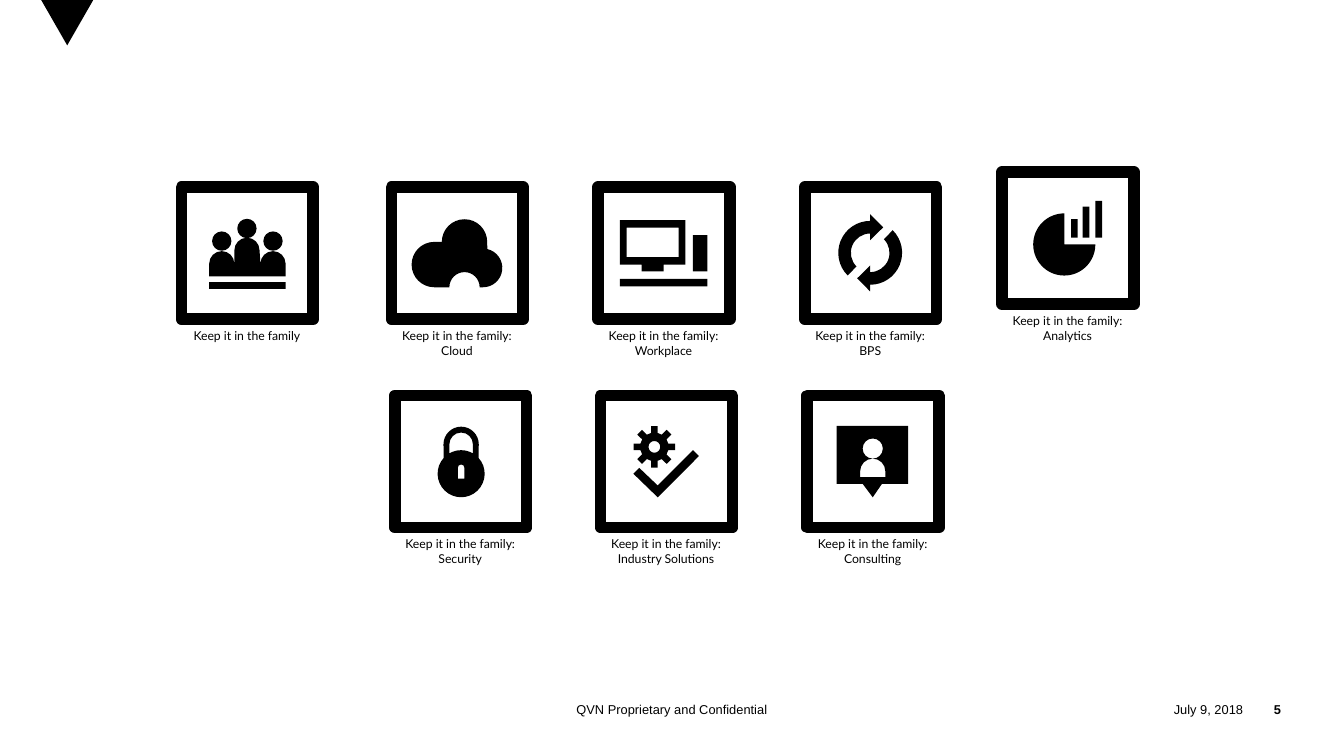
"""Build a slide of eight captioned service icons with a confidentiality footer."""
from dataclasses import dataclass
from math import asin, ceil, cos, degrees, radians, sin, tan
from typing import NamedTuple

from pptx import Presentation
from pptx import util as u
from pptx.dml import color
from pptx.enum import shapes, text
from pptx.oxml import ns, xmlchemy

BLACK, WHITE = "000000", "FFFFFF"
TILE_SIZE = 1.57
FAMILY = "Keep it in the family"


class Point(NamedTuple):
    x: float
    y: float
    curved: bool = False


Contour = list[Point]


@dataclass
class Tile:
    left: float
    top: float
    caption: str
    caption_height: float
    icon: list[Contour]


@dataclass
class Footer:
    left: float
    width: float
    wording: str
    align: text.PP_ALIGN
    bold: bool = False
    wrap: bool = False


def rgb(value: str) -> color.RGBColor:
    return color.RGBColor.from_string(value)


def polar(cx: float, cy: float, radius: float, angle: float, handle: float = 0,
          curved: bool = False) -> Point:
    a = radians(angle)
    return Point(cx + radius * (cos(a) - handle * sin(a)),
                 cy + radius * (sin(a) + handle * cos(a)), curved)


def arc(cx: float, cy: float, radius: float, start: float, end: float) -> Contour:
    pieces = ceil(abs(end - start) / 90)
    step = (end - start) / pieces
    handle = 4 / 3 * tan(radians(step) / 4)
    contour = [polar(cx, cy, radius, start)]
    for i in range(pieces):
        here, there = start + i * step, start + (i + 1) * step
        contour += [polar(cx, cy, radius, here, handle, True),
                    polar(cx, cy, radius, there, -handle, True),
                    polar(cx, cy, radius, there, 0, True)]
    return contour


def circle(cx: float, cy: float, radius: float) -> Contour:
    return arc(cx, cy, radius, 0, 360)


def arch(cx: float, cy: float, radius: float) -> Contour:
    return arc(cx, cy, radius, 180, 360)


def polygon(*corners: tuple[float, float]) -> Contour:
    return [Point(x, y) for x, y in corners]


def box(left: float, top: float, right: float, bottom: float) -> Contour:
    return polygon((left, top), (right, top), (right, bottom), (left, bottom))


def cycle_arrow(cx: float, cy: float, turn: float) -> Contour:
    tip = [polar(cx, cy, radius, angle + turn)
           for radius, angle in [(0.46, 270), (0.34, 297), (0.15, 270)]]
    return (arc(cx, cy, 0.38, 135 + turn, 270 + turn) + tip
            + arc(cx, cy, 0.23, 270 + turn, 135 + turn))


def gear(cx: float, cy: float) -> Contour:
    root, outer, half_tooth = 0.17, 0.25, 0.04
    base, crown = (degrees(asin(half_tooth / r)) for r in (root, outer))
    tooth = [(root, -base), (outer, -crown), (outer, crown), (root, base)]
    return [polar(cx, cy, r, 45 * i + angle) for i in range(8) for r, angle in tooth]


PEOPLE = [
    *(circle(x, y, 0.115) for x, y in [(2.64, 2.87), (2.94, 2.72), (3.25, 2.87)]),
    arch(2.64, 3.14, 0.15) + arch(2.94, 2.98, 0.15) + arch(3.25, 3.14, 0.15)
    + polygon((3.4, 3.29), (2.49, 3.29)),
    box(2.49, 3.36, 3.4, 3.44),
]
CLOUD = [arch(5.53, 3.42, 0.18) + arc(5.75, 3.19, 0.23, 90, -77)
         + arc(5.53, 2.88, 0.27, 0, -180) + arc(5.17, 3.15, 0.27, 270, 90)]
WORKPLACE = [
    polygon((7.38, 2.62), (8.16, 2.62), (8.16, 3.15), (7.9, 3.15), (7.9, 3.23),
            (7.64, 3.23), (7.64, 3.15), (7.38, 3.15)),
    box(7.46, 2.71, 8.08, 3.06),
    box(7.38, 3.32, 8.42, 3.41),
    box(8.25, 2.8, 8.42, 3.23),
]
CYCLE = [cycle_arrow(10.36, 3.01, turn) for turn in (0, 180)]
ANALYTICS = [
    *(box(left, top, left + 0.08, 2.83)
      for left, top in [(12.75, 2.61), (12.89, 2.46), (13.04, 2.39)]),
    arc(12.67, 2.91, 0.37, 0, 270) + polygon((12.67, 2.91)),
]
PADLOCK = [
    arc(5.49, 5.64, 0.28, -42, 222) + arch(5.49, 5.29, 0.21),
    arch(5.49, 5.29, 0.14) + arc(5.49, 5.64, 0.28, -60, -120),
    arch(5.49, 5.57, 0.04) + polygon((5.53, 5.7), (5.45, 5.7)),
]
INDUSTRY = [
    polygon((7.83, 5.92), (7.54, 5.64), (7.61, 5.57), (7.83, 5.78), (8.25, 5.36),
            (8.32, 5.43)),
    gear(7.79, 5.32),
    circle(7.79, 5.32, 0.07),
]
CONSULTING = [
    polygon((9.96, 5.07), (10.81, 5.07), (10.81, 5.76), (10.5, 5.76), (10.39, 5.92),
            (10.27, 5.76), (9.96, 5.76)),
    circle(10.39, 5.34, 0.12),
    arch(10.39, 5.61, 0.15) + polygon((10.54, 5.68), (10.24, 5.68)),
]

TILES = [
    Tile(2.16, 2.23, FAMILY, 0.28, PEOPLE),
    Tile(4.66, 2.23, f"{FAMILY}: Cloud", 0.45, CLOUD),
    Tile(7.12, 2.23, f"{FAMILY}: Workplace", 0.45, WORKPLACE),
    Tile(9.58, 2.23, f"{FAMILY}: BPS", 0.45, CYCLE),
    Tile(11.93, 2.05, f"{FAMILY}: Analytics", 0.45, ANALYTICS),
    Tile(4.7, 4.71, f"{FAMILY}: Security", 0.45, PADLOCK),
    Tile(7.15, 4.71, f"{FAMILY}: Industry Solutions", 0.45, INDUSTRY),
    Tile(9.61, 4.71, f"{FAMILY}: Consulting", 0.45, CONSULTING),
]
FOOTERS = [
    Footer(5.25, 5.5, "QVN Proprietary and Confidential", text.PP_ALIGN.CENTER),
    Footer(13.01, 1.79, "July 9, 2018", text.PP_ALIGN.RIGHT),
    Footer(14.8, 0.45, "5", text.PP_ALIGN.RIGHT, bold=True, wrap=True),
]


def paint(shape, fill: str, line_width: float = 0) -> None:
    shape.shadow.inherit = False
    shape.fill.solid()
    shape.fill.fore_color.rgb = rgb(fill)
    if line_width:
        shape.line.color.rgb = rgb(BLACK)
        shape.line.width = u.Pt(line_width)
    else:
        shape.line.fill.background()


def write(frame, wording: str, font: str, size: float, align: text.PP_ALIGN,
          bold: bool = False) -> None:
    paragraph = frame.paragraphs[0]
    paragraph.alignment = align
    run = paragraph.add_run()
    run.text = wording
    run.font.name, run.font.size, run.font.bold = font, u.Pt(size), bold
    run.font.color.rgb = rgb(BLACK)


def draw_icon(parent, contours: list[Contour]) -> None:
    builder = parent.build_freeform(u.Inches(contours[0][0].x), u.Inches(contours[0][0].y))
    for index, (start, *rest) in enumerate(contours):
        if index:
            builder.move_to(u.Inches(start.x), u.Inches(start.y))
        builder.add_line_segments([(u.Inches(p.x), u.Inches(p.y)) for p in rest], close=True)
    icon = builder.convert_to_shape()
    paint(icon, BLACK)
    ends = [point for contour in contours for point in contour[1:]]
    segments = list(icon._element.iter(ns.qn("a:lnTo")))
    curved = [segment for segment, end in zip(segments, ends) if end.curved]
    for i in range(0, len(curved), 3):
        bezier = xmlchemy.OxmlElement("a:cubicBezTo")
        curved[i].addprevious(bezier)
        for segment in curved[i:i + 3]:
            bezier.append(segment[0])
            segment.getparent().remove(segment)


def draw_tile(slide, tile: Tile) -> None:
    group = slide.shapes.add_group_shape().shapes
    frame = group.add_shape(shapes.MSO_SHAPE.RECTANGLE, u.Inches(tile.left), u.Inches(tile.top),
                            u.Inches(TILE_SIZE), u.Inches(TILE_SIZE))
    paint(frame, WHITE, 10)
    caption = group.add_textbox(u.Inches(tile.left - 0.04), u.Inches(tile.top + 1.63),
                                u.Inches(1.64), u.Inches(tile.caption_height)).text_frame
    caption.word_wrap = True
    caption.auto_size = text.MSO_AUTO_SIZE.SHAPE_TO_FIT_TEXT
    write(caption, tile.caption, "Lato", 10.5, text.PP_ALIGN.CENTER)
    draw_icon(group, tile.icon)


def draw_footer(slide, footer: Footer) -> None:
    frame = slide.shapes.add_textbox(u.Inches(footer.left), u.Inches(8.29),
                                     u.Inches(footer.width), u.Inches(0.3)).text_frame
    frame.margin_left = frame.margin_right = frame.margin_top = frame.margin_bottom = 0
    frame.word_wrap = footer.wrap
    frame.vertical_anchor = text.MSO_ANCHOR.MIDDLE
    write(frame, footer.wording, "Arial", 11, footer.align, footer.bold)


def main() -> None:
    deck = Presentation()
    deck.slide_width, deck.slide_height = u.Inches(16), u.Inches(9)
    slide = deck.slides.add_slide(deck.slide_layouts[6])
    draw_icon(slide.shapes, [polygon((0.49, 0), (1.11, 0), (0.8, 0.54))])
    for footer in FOOTERS:
        draw_footer(slide, footer)
    for tile in TILES:
        draw_tile(slide, tile)
    deck.save("out.pptx")


if __name__ == "__main__":
    main()
